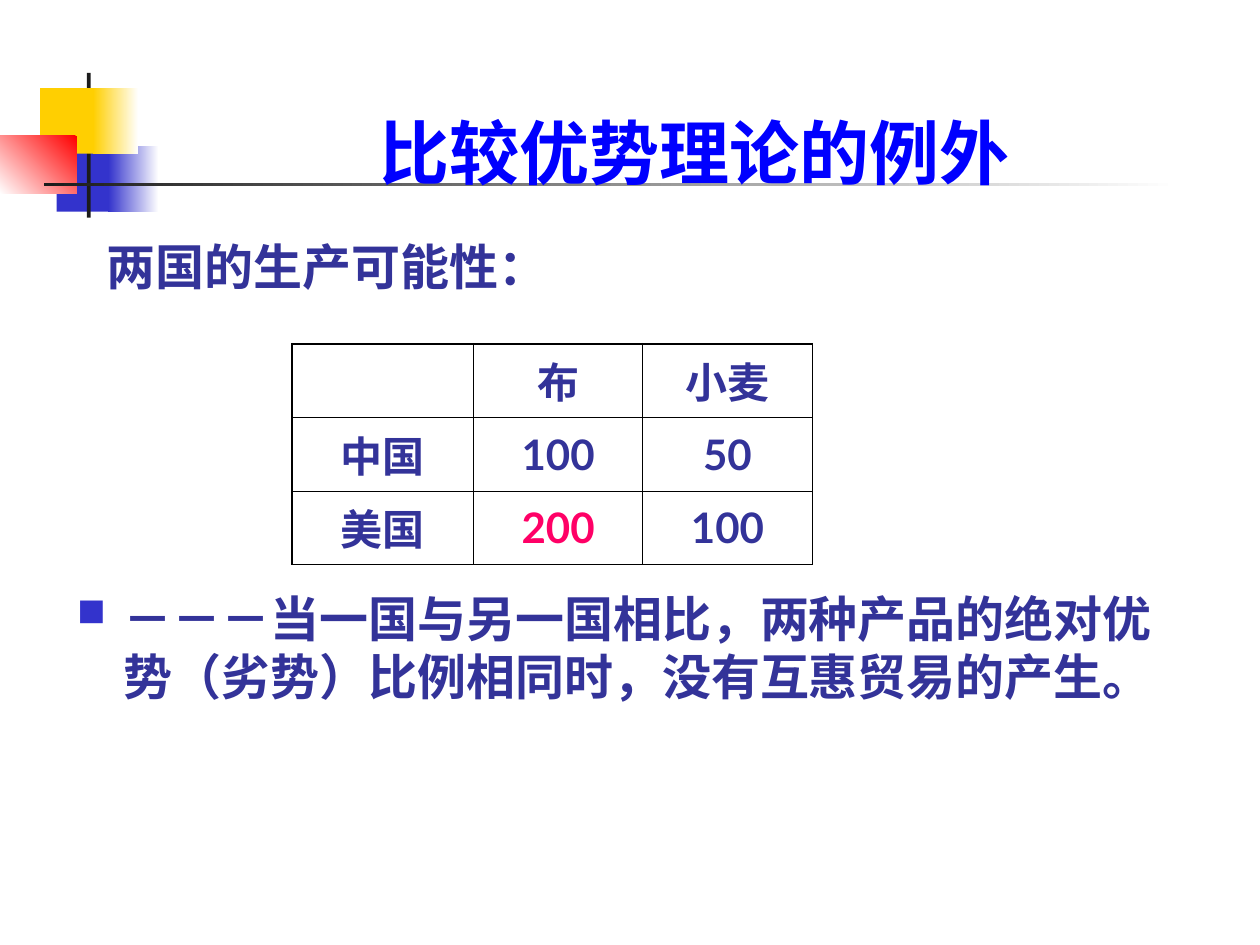
from lxml import etree
from pptx import Presentation
from pptx import util as u
from pptx.dml.color import RGBColor
from pptx.enum import shapes, text
from pptx.oxml.ns import qn

HUES = {
    "blue": "3333CC", "gold": "FFCF01", "red": "FF0000", "white": "FFFFFF",
    "dark": "1C1C1C", "title": "0000FF", "ink": "333399", "pink": "FF0066",
    "black": "000000",
}


def hue(name):
    return RGBColor.from_string(HUES[name])


class Deck:
    font = "Lato"

    def __init__(self, wide, high):
        self.prs = Presentation()
        self.prs.slide_width, self.prs.slide_height = u.Cm(wide), u.Cm(high)
        self.slide = self.prs.slides.add_slide(self.prs.slide_layouts[1])
        self.items = self.slide.shapes

    def block(self, box, start, end=None, angle=180):
        shape = self.items.add_shape(shapes.MSO_SHAPE.RECTANGLE, *map(u.Cm, box))
        shape.shadow.inherit = False
        shape.line.fill.background()
        if end is None:
            shape.fill.solid()
            shape.fill.fore_color.rgb = hue(start)
            return
        shape.fill.gradient()
        shape.fill.gradient_angle = angle
        for stop, name in zip(shape.fill.gradient_stops, (start, end)):
            stop.color.rgb = hue(name)

    def add_words(self, para, words, size, color, before=0, align=None):
        para.space_before = u.Pt(before)
        para.alignment = align
        run = para.add_run()
        run.text = words
        font = run.font
        font.name, font.size, font.bold = self.font, u.Pt(size), True
        font.color.rgb = hue(color)

    def place(self, shape, box):
        shape.left, shape.top, shape.width, shape.height = map(u.Cm, box)
        self.items._spTree.append(shape._element)
        frame = shape.text_frame
        frame.word_wrap = True
        frame.auto_size = text.MSO_AUTO_SIZE.NONE
        return frame

    def title(self, words, box):
        frame = self.place(self.items.title, box)
        frame.vertical_anchor = text.MSO_ANCHOR.BOTTOM
        self.add_words(frame.paragraphs[0], words, 40, "title", 0,
                       text.PP_ALIGN.CENTER)

    def body(self, words, box):
        frame = self.place(self.slide.placeholders[1], box)
        para = frame.paragraphs[0]
        self.indent(para, 1.7)
        self.add_words(para, words, 28, "ink")

    def note(self, words, box):
        frame = self.place(self.items.add_textbox(0, 0, 0, 0), box)
        para = frame.paragraphs[0]
        self.indent(para, 0.95, "■")
        self.add_words(para, words, 28, "ink")

    def indent(self, para, size, mark=None):
        props = para._p.get_or_add_pPr()
        props.set("marL", str(u.Cm(size)))
        props.set("indent", str(-u.Cm(size)))
        if mark is None:
            etree.SubElement(props, qn("a:buNone"))
            return
        color = etree.SubElement(props, qn("a:buClr"))
        etree.SubElement(color, qn("a:srgbClr"), val=HUES["blue"])
        etree.SubElement(props, qn("a:buSzPct"), val="80000")
        etree.SubElement(props, qn("a:buChar"), char=mark)

    def edge(self, cell, side, width):
        line = etree.SubElement(cell._tc.get_or_add_tcPr(), qn("a:ln" + side),
                                w=str(u.Pt(width)))
        fill = etree.SubElement(line, qn("a:solidFill"))
        etree.SubElement(fill, qn("a:srgbClr"), val=HUES["black"])

    def table(self, rows, left, top, widths, high, marked):
        count = len(rows)
        table = self.items.add_table(count, len(widths), u.Cm(left), u.Cm(top),
                                     u.Cm(sum(widths)), u.Cm(high * count)).table
        table.first_row = table.horz_banding = False
        for col, width in zip(table.columns, widths):
            col.width = u.Cm(width)
        for r, row in enumerate(rows):
            table.rows[r].height = u.Cm(high)
            for c, words in enumerate(row):
                cell = table.cell(r, c)
                outer = {"L": c == 0, "R": c == len(widths) - 1,
                         "T": r == 0, "B": r == count - 1}
                for side, thick in outer.items():
                    self.edge(cell, side, 1.08 if thick else 0.45)
                cell.fill.background()
                cell.vertical_anchor = text.MSO_ANCHOR.MIDDLE
                if words:
                    color = "pink" if (r, c) == marked else "ink"
                    self.add_words(cell.text_frame.paragraphs[0], words, 24,
                                   color, 6, text.PP_ALIGN.CENTER)


def main():
    deck = Deck(25.4, 19.05)
    deck.block((1.14, 2.95, 1.17, 1.32), "blue")
    deck.block((2.18, 2.95, 1.02, 1.32), "white", "blue")
    deck.block((1.75, 1.47, 0.08, 2.92), "dark")
    deck.block((0.81, 1.78, 1.22, 1.32), "gold")
    deck.block((1.88, 1.78, 0.91, 1.32), "white", "gold")
    deck.block((0, 2.74, 1.55, 1.17), "red", "white", 225)
    deck.block((0.89, 3.68, 22.86, 0.08), "white", "dark")
    deck.title("比较优势理论的例外", (3.18, 0.84, 21.64, 3.18))
    deck.body("两国的生产可能性：", (1.9, 4.65, 21.59, 1.68))
    rows = [["", "布", "小麦"], ["中国", "100", "50"], ["美国", "200", "100"]]
    deck.table(rows, 5.89, 6.93, (3.66, 3.4, 3.43), 1.26, (2, 1))
    deck.note("－－－当一国与另一国相比，两种产品的绝对优势（劣势）比例相同时，"
              "没有互惠贸易的产生。", (1.3, 11.73, 22.58, 3.81))
    deck.prs.save("out.pptx")


if __name__ == "__main__":
    main()
